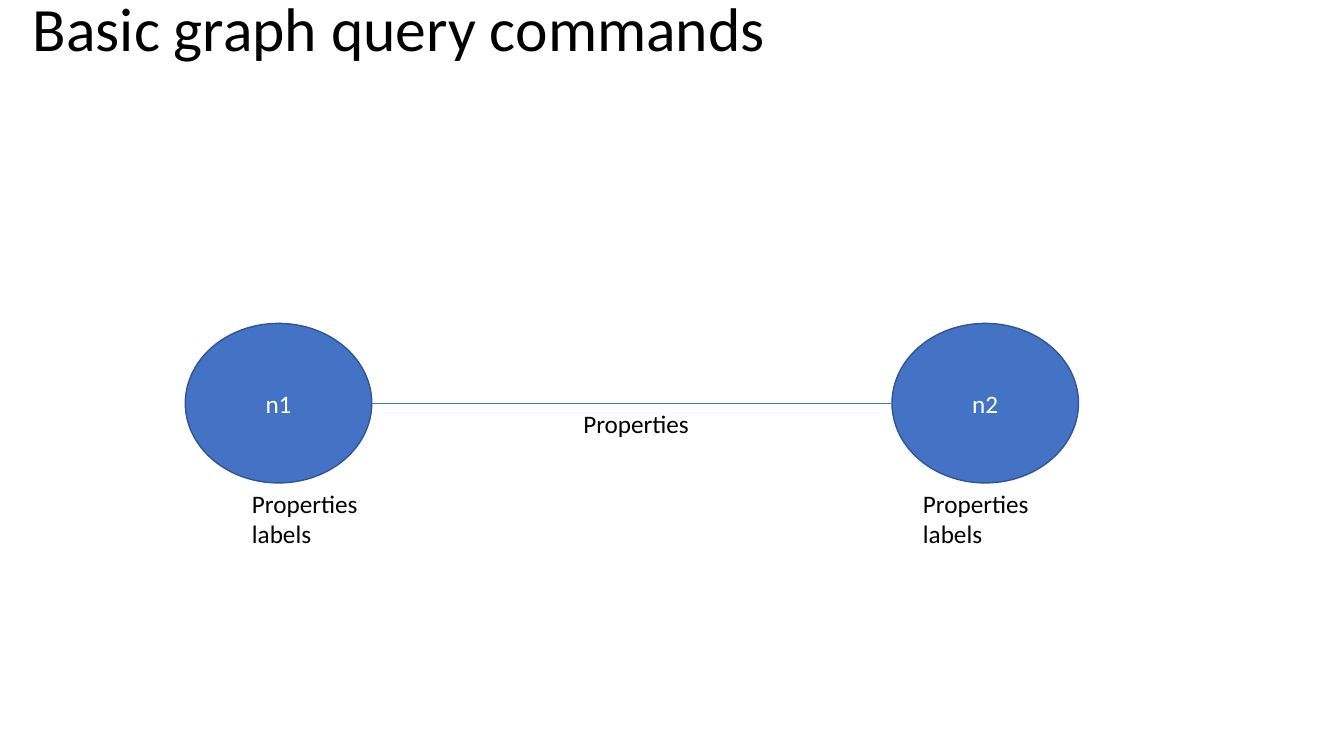
from lxml import etree
from pptx import Presentation
from pptx.dml.color import RGBColor
from pptx.enum.shapes import MSO_CONNECTOR, MSO_SHAPE
from pptx.enum.text import MSO_ANCHOR, PP_ALIGN
from pptx.oxml.ns import qn
from pptx.util import Cm, Pt

STRAIGHT = MSO_CONNECTOR.STRAIGHT
OVAL = MSO_SHAPE.OVAL
MIDDLE, CENTER = MSO_ANCHOR.MIDDLE, PP_ALIGN.CENTER
FONT = "Calibri"
COLORS = {name: RGBColor.from_string(value) for name, value in {
    "text": "000000", "node": "4472C4", "outline": "325491", "node_text": "FFFFFF",
}.items()}


def style_font(paragraph, size, color):
    paragraph.font.name = FONT
    paragraph.font.size = Pt(size)
    paragraph.font.color.rgb = COLORS[color]


def add_text(left, top, width, height, lines, size=18):
    box = slide.shapes.add_textbox(Cm(left), Cm(top), Cm(width), Cm(height))
    frame = box.text_frame
    frame.word_wrap = True
    frame.text = "\n".join(lines)
    for paragraph in frame.paragraphs:
        style_font(paragraph, size, "text")
    return frame


deck = Presentation()
deck.slide_width, deck.slide_height = Cm(33.87), Cm(19.05)
slide = deck.slides.add_slide(deck.slide_layouts[6])

# Title
title = add_text(0.58, -0.3, 29.21, 2.21, ["Basic graph query commands"], 44)
title.vertical_anchor = MIDDLE
title.paragraphs[0].line_spacing = 0.9

# Nodes with their property labels
node_width, node_height, node_top = 4.7, 4.02, 8.15
node_middle = node_top + node_height / 2
nodes = [("n1", 4.67, 6.1), ("n2", 22.48, 23.01)]
for name, node_left, label_left in nodes:
    node = slide.shapes.add_shape(
        OVAL, Cm(node_left), Cm(node_top), Cm(node_width), Cm(node_height))
    node.shadow.inherit = False
    node.fill.solid()
    node.fill.fore_color.rgb = COLORS["node"]
    node.line.color.rgb = COLORS["outline"]
    node.line.width = Pt(1)
    node.text_frame.text = name
    node.text_frame.vertical_anchor = MIDDLE
    paragraph = node.text_frame.paragraphs[0]
    paragraph.alignment = CENTER
    style_font(paragraph, 18, "node_text")
    add_text(label_left, node_top + node_height, 3.78, 1.8, ["Properties", "labels"])

# Relationship between the nodes
edge = slide.shapes.add_connector(
    STRAIGHT, Cm(nodes[0][1] + node_width), Cm(node_middle),
    Cm(nodes[1][1]), Cm(node_middle))
edge.line.color.rgb = COLORS["node"]
edge.line.width = Pt(0.5)
etree.SubElement(edge.element.spPr, qn("a:effectLst"))
add_text(14.45, node_middle, 3.78, 1.8, ["Properties"])

deck.save("out.pptx")
